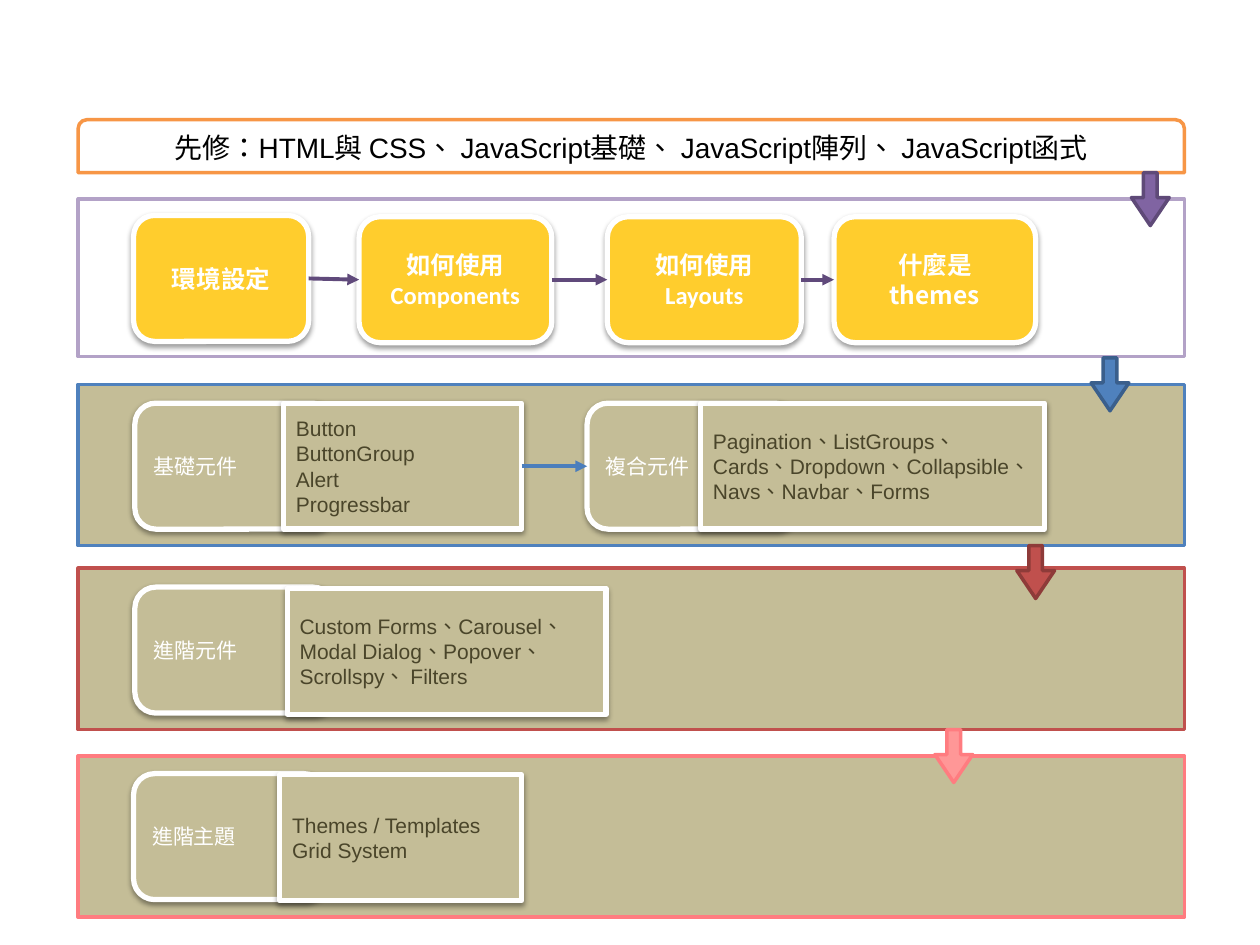
from dataclasses import dataclass
from lxml.etree import SubElement
from pptx import Presentation
from pptx.dml.color import RGBColor
from pptx.enum.shapes import MSO_CONNECTOR as Conn, MSO_SHAPE as Kind
from pptx.enum.text import MSO_ANCHOR as Anchor, PP_ALIGN as Align
from pptx.oxml.ns import qn
from pptx.shapes.autoshape import Shape
from pptx.util import Inches, Pt

HAN = "Noto Sans CJK SC"
LEFT, WIDTH, TALL = 0.62, 8.78, 1.0
WHITE, GOLD, SAND, BROWN = "FFFFFF", "FFCD2D", "C4BD97", "4A452A"
STEP = {"size": Pt(14), "bold": True}
BODY = {"size": Pt(12), "bold": False}
HEAD = {"size": Pt(16), "bold": False}


@dataclass
class Text:
    lines: list[list[tuple[str, str]]]
    style: dict
    tint: str
    align: Align = Align.LEFT
    inset: float = 0.1


@dataclass
class Box:
    left: float
    top: float
    width: float
    kind: Kind
    fill: str
    text: Text


@dataclass
class Band:
    top: float
    height: float
    fill: str
    edge: str
    boxes: list[Box]
    links: list[tuple[int, int]]
    link: str
    arrow: tuple[float, float, str, str]


def paint(target, tint: str) -> None:
    target.solid()
    target.fore_color.rgb = RGBColor.from_string(tint)


def draw(shapes, kind: Kind, area: tuple, fill: str, edge: str, weight: float) -> Shape:
    shape = shapes.add_shape(kind, *(Inches(n) for n in area))
    shape.shadow.inherit = False
    paint(shape.fill, fill)
    paint(shape.line.fill, edge)
    shape.line.width = Pt(weight)
    return shape


def shade(shape: Shape) -> None:
    effect = shape._element.spPr.find(qn("a:effectLst"))
    outer = SubElement(effect, qn("a:outerShdw"), blurRad=str(Pt(3.1)),
                       dist=str(Pt(1.6)), dir="5400000", rotWithShape="0")
    tint = SubElement(outer, qn("a:srgbClr"), val="000000")
    SubElement(tint, qn("a:alpha"), val="38000")


def write(shape: Shape, text: Text) -> None:
    frame = shape.text_frame
    look = {"word_wrap": True, "vertical_anchor": Anchor.MIDDLE,
            "margin_left": Inches(text.inset), "margin_right": Inches(text.inset)}
    for name, value in look.items():
        setattr(frame, name, value)
    for i, line in enumerate(text.lines):
        para = frame.add_paragraph() if i else frame.paragraphs[0]
        para.alignment = text.align
        for words, face in line:
            run = para.add_run()
            run.text = words
            for name, value in {**text.style, "name": face}.items():
                setattr(run.font, name, value)
            paint(run.font.fill, text.tint)
            props = run._r.get_or_add_rPr()
            props.set("lang", "zh-TW")
            SubElement(props, qn("a:ea"), typeface=HAN)


def join(shapes, start: Shape, end: Shape, tint: str) -> None:
    line = shapes.add_connector(Conn.STRAIGHT, 0, 0, 0, 0)
    line.begin_connect(start, 3)
    line.end_connect(end, 1)
    paint(line.line.fill, tint)
    line.line.width = Pt(2.25)
    SubElement(line.line._get_or_add_ln(), qn("a:tailEnd"), type="triangle")
    SubElement(line._element.spPr, qn("a:effectLst"))


def point(shapes, left: float, top: float, fill: str, edge: str) -> None:
    arrow = draw(shapes, Kind.DOWN_ARROW, (left, top, 0.3, 0.42), fill, edge, 2)
    arrow.adjustments[0] = 0.36
    arrow.adjustments[1] = 0.74


def build(shapes, band: Band) -> None:
    draw(shapes, Kind.RECTANGLE, (LEFT, band.top, WIDTH, band.height),
         band.fill, band.edge, 2)
    drawn = []
    for box in band.boxes:
        shape = draw(shapes, box.kind, (box.left, box.top, box.width, TALL),
                     box.fill, WHITE, 3)
        shade(shape)
        write(shape, box.text)
        drawn.append(shape)
    for start, end in band.links:
        join(shapes, drawn[start], drawn[end], band.link)
    point(shapes, *band.arrow)


def step(left: float, top: float, width: float, *runs: tuple[str, str]) -> Box:
    text = Text([list(runs)], STEP, WHITE, Align.CENTER, 0.12)
    return Box(left, top, width, Kind.ROUNDED_RECTANGLE, GOLD, text)


def label(left: float, top: float, width: float, words: str) -> Box:
    text = Text([[(words, HAN)]], BODY, WHITE)
    return Box(left, top, width, Kind.ROUNDED_RECTANGLE, SAND, text)


def topic(left: float, top: float, width: float, *lines: str) -> Box:
    text = Text([[(line, "Arial")] for line in lines], BODY, BROWN)
    return Box(left, top, width, Kind.RECTANGLE, SAND, text)


BANDS = [
    Band(1.58, 1.25, WHITE, "B3A2C7", [
        step(1.06, 1.71, 1.39, ("環境設定", HAN)),
        step(2.85, 1.72, 1.53, ("如何使用", HAN), ("Components", "Calibri")),
        step(4.82, 1.72, 1.54, ("如何使用", HAN), ("Layouts", "Calibri")),
        step(6.62, 1.72, 1.6, ("什麼是themes", HAN)),
    ], [(0, 1), (1, 2), (2, 3)], "604A7B", (8.98, 1.37, "8064A2", "5F4A78")),
    Band(3.05, 1.28, SAND, "4F81BD", [
        label(1.07, 3.2, 1.58, "基礎元件"),
        topic(2.25, 3.2, 1.89, "Button", "ButtonGroup", "Alert", "Progressbar"),
        label(4.66, 3.2, 1.66, "複合元件"),
        topic(5.56, 3.2, 2.73, "Pagination、ListGroups、Cards、Dropdown、"
              "Collapsible、Navs、Navbar、Forms"),
    ], [(1, 2)], "4B7EBC", (8.66, 2.84, "4F81BD", "3A5F8C")),
    Band(4.51, 1.28, SAND, "C0504D", [
        label(1.07, 4.66, 1.58, "進階元件"),
        topic(2.28, 4.67, 2.53, "Custom Forms、Carousel、Modal Dialog、"
              "Popover、Scrollspy、 Filters"),
    ], [], "", (8.07, 4.33, "C0504D", "8E3B39")),
    Band(6, 1.28, SAND, "FF7C80", [
        label(1.06, 6.14, 1.52, "進階主題"),
        topic(2.22, 6.15, 1.92, "Themes / Templates", "Grid System"),
    ], [], "", (7.42, 5.79, "FF9797", "FF7C80")),
]


def main() -> None:
    deck = Presentation()
    deck.slide_width, deck.slide_height = Inches(10), Inches(7.5)
    shapes = deck.slides.add_slide(deck.slide_layouts[6]).shapes
    head = draw(shapes, Kind.ROUND_2_SAME_RECTANGLE, (LEFT, 0.95, WIDTH, 0.42),
                WHITE, "F79646", 2)
    words = "先修：HTML與 CSS、 JavaScript基礎、 JavaScript陣列、 JavaScript函式"
    write(head, Text([[(words, "Arial")]], HEAD, "000000", Align.CENTER))
    for band in BANDS:
        build(shapes, band)
    deck.save("out.pptx")


if __name__ == "__main__":
    main()
